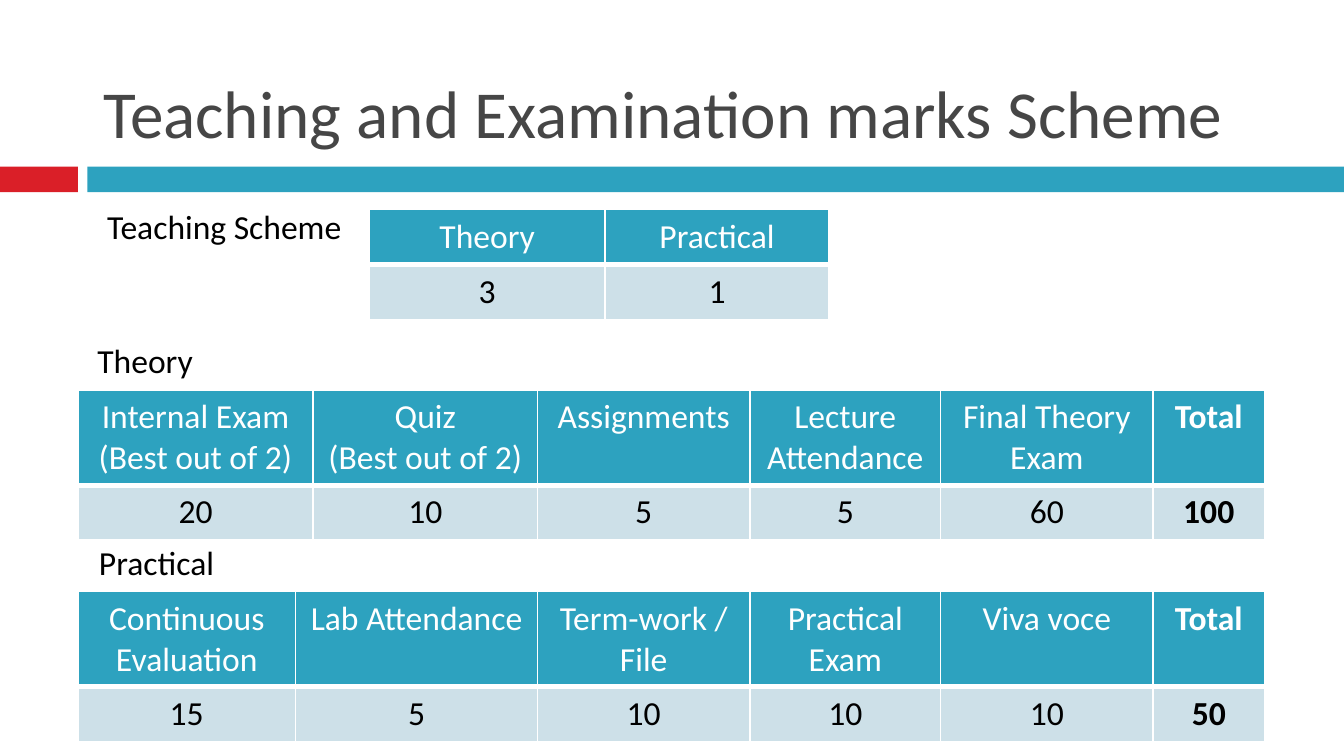
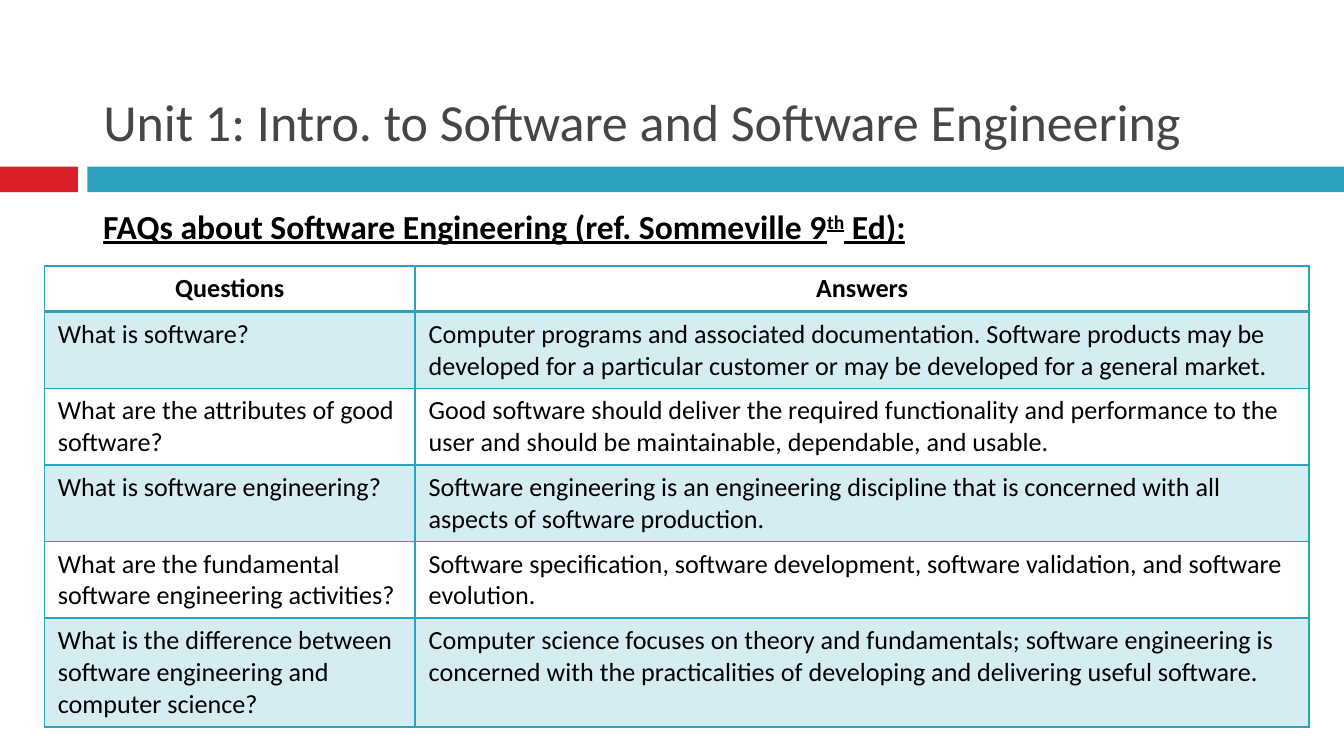
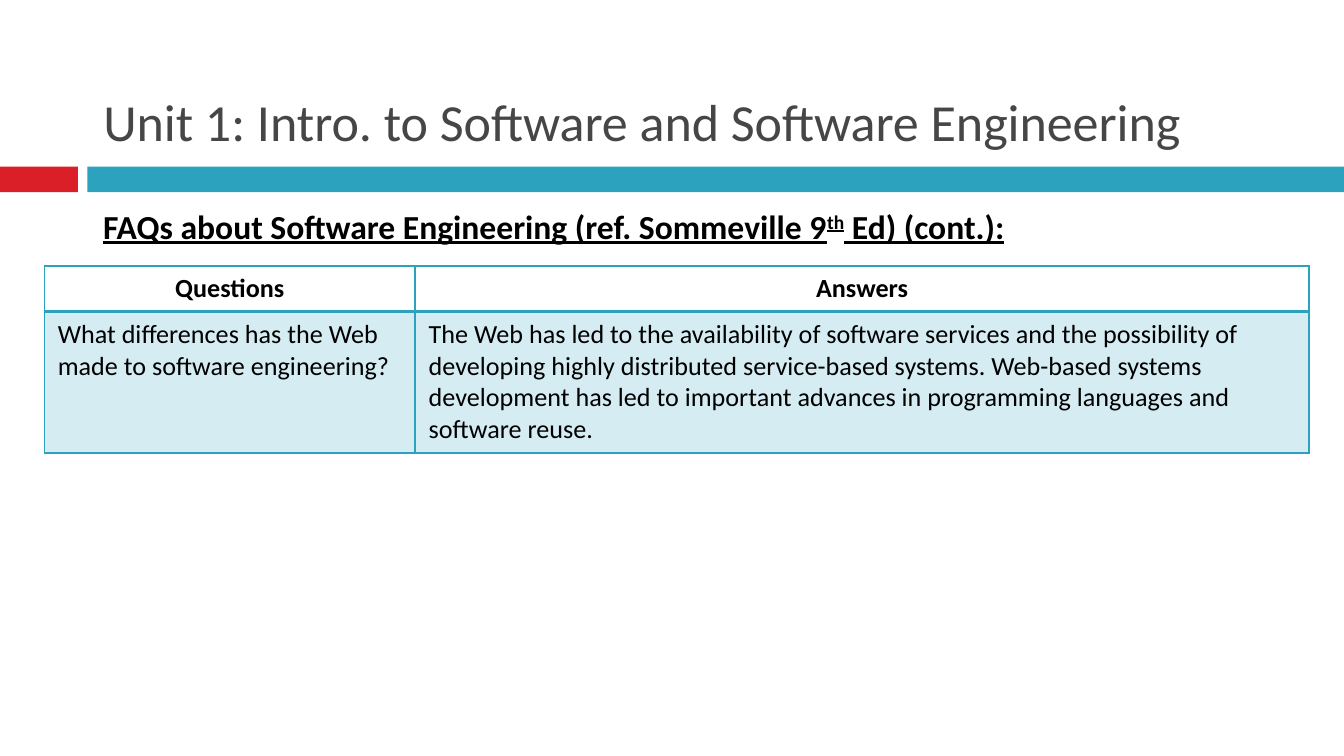
from dataclasses import dataclass

from lxml import etree
from pptx import Presentation
from pptx import util as u
from pptx.dml import color
from pptx.enum import shapes, text
from pptx.oxml import ns


@dataclass(frozen=True)
class Theme:
    font: str = "Calibri"
    red: str = "DA1F28"
    teal: str = "2DA2BF"
    pale: str = "CDE0E8"
    gray: str = "464646"
    black: str = "000000"
    white: str = "FFFFFF"
    head: float = 36
    unit: float = 27.9
    body: float = 18
    cell: float = 14
    gap: float = 7
    tint: int = 20


T = Theme()
WIDE = 10
SIZE = (WIDE, WIDE * 9 / 16)
BANDS = [((0, 1.24, 0.58, 0.19), T.red), ((0.65, 1.24, 9.35, 0.19), T.teal)]
HEAD = (0.67, 0.31, 8.92, 0.87)
BODY = (0.67, 1.48, 9.17, 3.92)

MARKS = "Teaching and Examination marks Scheme"
SCHEMES = [
    dict(label="Teaching Scheme", box=(0.67, 1.48, 2, 0.33), at=(2.75, 1.56),
         cols=(1.75, 1.67), lines=(1, 1),
         rows=[("Theory", "Practical"), ("3", "1")]),
    dict(label="Theory", box=(0.58, 2.48, 1, 0.33), at=(0.58, 2.9),
         cols=(1.75, 1.67, 1.58, 1.42, 1.58, 0.83), lines=(2, 1), total=5,
         rows=[("Internal Exam\n(Best out of 2)", "Quiz\n(Best out of 2)",
                "Assignments", "Lecture Attendance", "Final Theory Exam", "Total"),
               ("20", "10", "5", "5", "60", "100")]),
    dict(label="Practical", box=(0.58, 3.98, 1.17, 0.42), at=(0.58, 4.4),
         cols=(1.62, 1.8, 1.58, 1.42, 1.58, 0.83), lines=(2, 1), total=5,
         rows=[("Continuous Evaluation", "Lab Attendance", "Term-work / File",
                "Practical Exam", "Viva voce", "Total"),
               ("15", "5", "10", "10", "10", "50")]),
]

UNIT = "Unit 1: Intro. to Software and Software Engineering"
ASK = ("Questions", "Answers")
FAQS = [
    dict(label="FAQs about Software Engineering (ref. Sommeville 9^th^ Ed):",
         lines=(1, 2, 2, 2, 2, 3),
         rows=[
             ASK,
             ("What is software?",
              "Computer programs and associated documentation. Software products may be "
              "developed for a particular customer or may be developed for a general market."),
             ("What are the attributes of good software?",
              "Good software should deliver the required functionality and performance to the "
              "user and should be maintainable, dependable, and usable."),
             ("What is software engineering?",
              "Software engineering is an engineering discipline that is concerned with all "
              "aspects of software production."),
             ("What are the fundamental software engineering activities?",
              "Software specification, software development, software validation, and software "
              "evolution."),
             ("What is the difference between software engineering and computer science?",
              "Computer science focuses on theory and fundamentals; software engineering is "
              "concerned with the practicalities of developing and delivering useful software."),
         ]),
    dict(label="FAQs about Software Engineering (ref. Sommeville 9^th^ Ed) (cont.):",
         lines=(1, 4),
         rows=[
             ASK,
             ("What differences has the Web made to software engineering?",
              "The Web has led to the availability of software services and the possibility of "
              "developing highly distributed service-based systems. Web-based systems "
              "development has led to important advances in programming languages and "
              "software reuse."),
         ]),
]


def rgb(tone):
    return color.RGBColor.from_string(tone)


def place(box):
    return [u.Inches(n) for n in box]


def write(frame, words, size=T.body, tone=T.black, bold=False, under=False,
          mid=False, gap=None):
    frame.word_wrap = True
    for i, line in enumerate(words.split("\n")):
        para = frame.add_paragraph() if i else frame.paragraphs[0]
        para.alignment = text.PP_ALIGN.CENTER if mid else text.PP_ALIGN.LEFT
        if gap:
            para.space_before = u.Pt(gap)
        for j, part in enumerate(line.split("^")):
            run = para.add_run()
            run.text = part
            font = run.font
            font.name, font.size, font.bold = T.font, u.Pt(size), bold
            font.underline = under
            font.color.rgb = rgb(tone)
            if j % 2:
                font._element.set("baseline", "30000")


def label(slide, words, box, low=False, **look):
    frame = slide.shapes.add_textbox(*place(box)).text_frame
    frame.vertical_anchor = text.MSO_ANCHOR.BOTTOM if low else text.MSO_ANCHOR.TOP
    write(frame, words, **look)


def paint(cell, tone, alpha=None):
    if tone is None:
        cell.fill.background()
        return
    cell.fill.solid()
    cell.fill.fore_color.rgb = rgb(tone)
    if alpha:
        tint = cell._tc.tcPr.find(ns.qn("a:solidFill")).find(ns.qn("a:srgbClr"))
        etree.SubElement(tint, ns.qn("a:alpha"), val=str(alpha * 1000))


def edge(cell, tone, top, low):
    for side, wide in zip("LRTB", (1, 1, top, low)):
        line = etree.SubElement(cell._tc.get_or_add_tcPr(), ns.qn("a:ln" + side),
                                w=str(u.Pt(wide)))
        fill = etree.SubElement(line, ns.qn("a:solidFill"))
        etree.SubElement(fill, ns.qn("a:srgbClr"), val=tone)


def grid(slide, at, cols, lines, rows, size, rule, thick, style):
    tall = [round(n * size * 1.22 / 72 + 0.1, 2) for n in lines]
    box = place((*at, sum(cols), sum(tall)))
    table = slide.shapes.add_table(len(rows), len(cols), *box).table
    table.first_row = table.horz_banding = False
    for col, wide in zip(table.columns, cols):
        col.width = u.Inches(wide)
    for r, row in enumerate(rows):
        table.rows[r].height = u.Inches(tall[r])
        for c, words in enumerate(row):
            cell = table.cell(r, c)
            fill, alpha, look = style(r, c)
            edge(cell, rule, thick if r == 1 else 1, 1 if r else thick)
            paint(cell, fill, alpha)
            write(cell.text_frame, words, size=size, **look)


def mark(total):
    def style(r, c):
        look = dict(mid=True, bold=c == total, tone=T.black if r else T.white)
        return (T.pale if r else T.teal), None, look
    return style


def faq(r, c):
    return (T.teal if r % 2 else None), T.tint, dict(mid=r == 0, bold=r == 0)


def start(deck, title, size):
    slide = deck.slides.add_slide(deck.slide_layouts[6])
    for box, tone in BANDS:
        band = slide.shapes.add_shape(shapes.MSO_SHAPE.RECTANGLE, *place(box))
        band.shadow.inherit = False
        band.fill.solid()
        band.fill.fore_color.rgb = rgb(tone)
        band.line.fill.background()
    label(slide, title, HEAD, low=True, size=size, tone=T.gray)
    return slide


deck = Presentation()
deck.slide_width, deck.slide_height = place(SIZE)

slide = start(deck, MARKS, T.head)
for part in SCHEMES:
    label(slide, part["label"], part["box"], mid=True, gap=T.gap)
    grid(slide, part["at"], part["cols"], part["lines"], part["rows"],
         T.body, T.white, 3, mark(part.get("total")))

for part in FAQS:
    slide = start(deck, UNIT, T.unit)
    label(slide, part["label"], BODY, bold=True, under=True, gap=T.gap)
    grid(slide, (0.33, 1.98), (2.76, 6.65), part["lines"], part["rows"],
         T.cell, T.teal, 2, faq)

deck.save("out.pptx")
